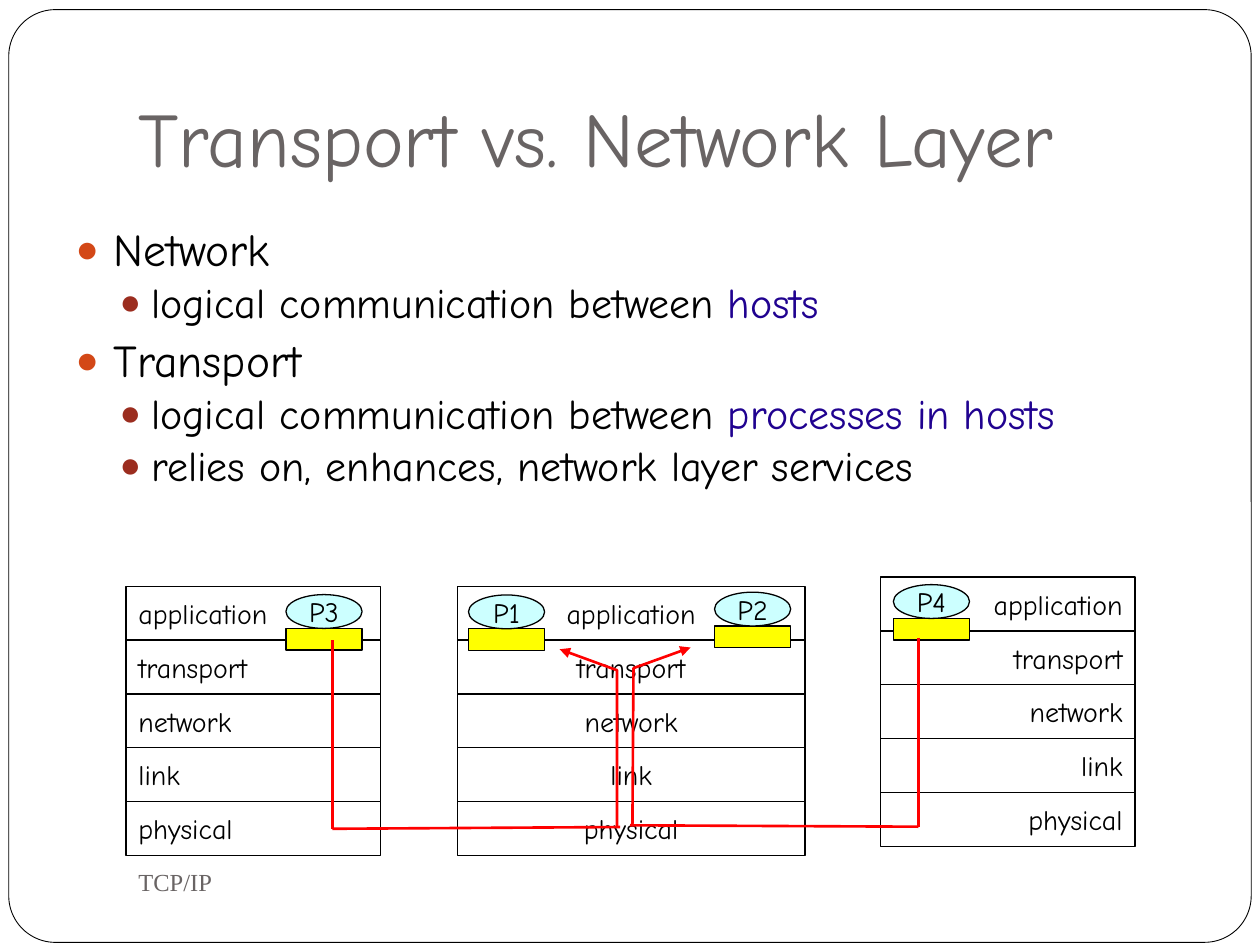
from lxml import etree
from pptx import Presentation
from pptx.dml.color import RGBColor
from pptx.enum import shapes, text
from pptx.oxml.ns import qn
from pptx.util import Pt

FONT = "Comic Neue"
LAYERS = ["application", "transport", "network", "link", "physical"]
ALIGN = text.PP_ALIGN
SHAPE = shapes.MSO_SHAPE
ROW_HEIGHT = 30.78
BULLETS = [
    {"size": 26, "margin": 21.6, "indent": -21.6, "space": 5.8, "color": "D34817"},
    {"size": 24, "margin": 43.2, "indent": -18, "space": 3.7, "color": "9B2D1F"},
]
TOPICS = [
    (0, [("Network", "000000")]),
    (1, [("logical communication between ", "000000"), ("hosts", "200290")]),
    (0, [("Transport", "000000")]),
    (1, [("logical communication between ", "000000"), ("processes in hosts", "200290")]),
    (1, [("relies on, enhances, network layer services", "000000")]),
]


def rgb(value):
    return RGBColor.from_string(value)


def apply(target, values):
    for name, value in values.items():
        setattr(target, name, value)


def place(part, box):
    apply(part, dict(zip(("left", "top", "width", "height"), map(Pt, box))))


def write(paragraph, words, size, color="000000", font=FONT):
    run = paragraph.add_run()
    run.text = words
    apply(run.font, {"name": font, "size": Pt(size)})
    run.font.color.rgb = rgb(color)


def add_box(slide, kind, box, fill, weight=0.75):
    part = slide.shapes.add_shape(kind, *map(Pt, box))
    part.shadow.inherit = False
    part.fill.solid()
    part.fill.fore_color.rgb = rgb(fill)
    part.line.color.rgb = rgb("000000")
    part.line.width = Pt(weight)
    return part


def add_label(part, words, align):
    frame = part.text_frame
    apply(frame, {"word_wrap": False, "vertical_anchor": text.MSO_ANCHOR.MIDDLE})
    frame.paragraphs[0].alignment = align
    write(frame.paragraphs[0], words, 16)


def add_frame(slide, box):
    border = add_box(slide, SHAPE.ROUNDED_RECTANGLE, box, "FFFFFF", 0.5)
    border.adjustments[0] = 0.05
    border.element.getparent().insert(2, border.element)


def add_title(slide, box):
    title = slide.shapes.title
    place(title, box)
    apply(title.text_frame, {
        "auto_size": text.MSO_AUTO_SIZE.NONE,
        "vertical_anchor": text.MSO_ANCHOR.BOTTOM,
        "margin_bottom": Pt(7.2),
    })
    heading = title.text_frame.paragraphs[0]
    heading.alignment = ALIGN.LEFT
    write(heading, "Transport vs. Network Layer", 44, "696464")


def add_bullet(paragraph, style):
    props = paragraph._p.get_or_add_pPr()
    props.set("marL", str(Pt(style["margin"])))
    props.set("indent", str(Pt(style["indent"])))
    color = etree.SubElement(props, qn("a:buClr"))
    etree.SubElement(color, qn("a:srgbClr"), val=style["color"])
    etree.SubElement(props, qn("a:buSzPct"), val="85000")
    etree.SubElement(props, qn("a:buChar"), char="●")


def add_topics(slide, box):
    body = slide.placeholders[1]
    place(body, box)
    frame = body.text_frame
    apply(frame, {"auto_size": text.MSO_AUTO_SIZE.NONE,
                  "vertical_anchor": text.MSO_ANCHOR.TOP})
    for index, (level, parts) in enumerate(TOPICS):
        topic = frame.add_paragraph() if index else frame.paragraphs[0]
        style = BULLETS[level]
        add_bullet(topic, style)
        apply(topic, {"level": level, "line_spacing": 0.9,
                      "space_before": Pt(style["space"] if index else 0)})
        for words, color in parts:
            write(topic, words, style["size"], color)


def add_process(slide, name, box):
    left, top, width, height = box
    oval_height = height * 0.61
    socket = (left, top + oval_height, width, height - oval_height)
    add_box(slide, SHAPE.RECTANGLE, socket, "FFFF00")
    oval = add_box(slide, SHAPE.OVAL, (left, top, width, oval_height), "CCFFFF")
    add_label(oval, name, ALIGN.CENTER)


def add_host(slide, box, align, processes):
    left, top, width, height = box
    row = height / len(LAYERS)
    for index, layer in enumerate(LAYERS):
        cell = add_box(slide, SHAPE.RECTANGLE,
                       (left, top + index * row, width, row), "FFFFFF")
        add_label(cell, layer, align)
    for name, dx, dy in processes:
        add_process(slide, name, (left + dx, top + dy, 43.5, 31.7))


def color_route(part):
    part.line.color.rgb = rgb("FF0000")
    part.line.width = Pt(1.5)


def add_segment(slide, start, end):
    segment = slide.shapes.add_connector(
        shapes.MSO_CONNECTOR.STRAIGHT, *map(Pt, start + end))
    color_route(segment)
    etree.SubElement(segment.element.spPr, qn("a:effectLst"))


def add_route(slide, source, corner, junction, rise):
    add_segment(slide, source, corner)
    add_segment(slide, corner, junction)
    points = [tuple(map(Pt, point)) for point in rise]
    builder = slide.shapes.build_freeform(*points[0])
    builder.add_line_segments(points[1:], close=False)
    arrow = builder.convert_to_shape()
    arrow.shadow.inherit = False
    arrow.fill.background()
    color_route(arrow)
    etree.SubElement(arrow.element.spPr.find(qn("a:ln")), qn("a:tailEnd"), type="triangle")


def add_footer(slide, box):
    footer = slide.shapes.add_textbox(*map(Pt, box)).text_frame
    apply(footer, {"word_wrap": True, "vertical_anchor": text.MSO_ANCHOR.MIDDLE})
    write(footer.paragraphs[0], "TCP/IP", 14, "696464", "Times New Roman")


def main():
    deck = Presentation()
    apply(deck, {"slide_width": Pt(720), "slide_height": Pt(540)})
    slide = deck.slides.add_slide(deck.slide_layouts[1])
    add_frame(slide, (5, 5.5, 710, 533))
    add_footer(slide, (72, 486, 312, 36))
    add_title(slide, (72, 21.6, 612, 90))
    add_topics(slide, (36, 126, 648, 174))
    stack = ROW_HEIGHT * len(LAYERS)
    add_host(slide, (72, 335, 145.4, stack), ALIGN.LEFT, [("P3", 91.4, 4.8)])
    add_host(slide, (503.2, 329.8, 145.4, stack), ALIGN.RIGHT, [("P4", 7.3, 4.3)])
    add_host(slide, (261.3, 335, 198.7, stack), ALIGN.CENTER,
             [("P2", 147, 3.4), ("P1", 6.4, 5)])
    add_route(slide, (190, 365.8), (190, 473.6), (354.4, 472.6),
              [(352.6, 472.4), (352.6, 383), (319.8, 371)])
    add_route(slide, (524.8, 364.5), (524.8, 472.4), (360, 471.6),
              [(361.4, 471), (362, 381.8), (394.6, 370)])
    deck.save("out.pptx")


if __name__ == "__main__":
    main()
